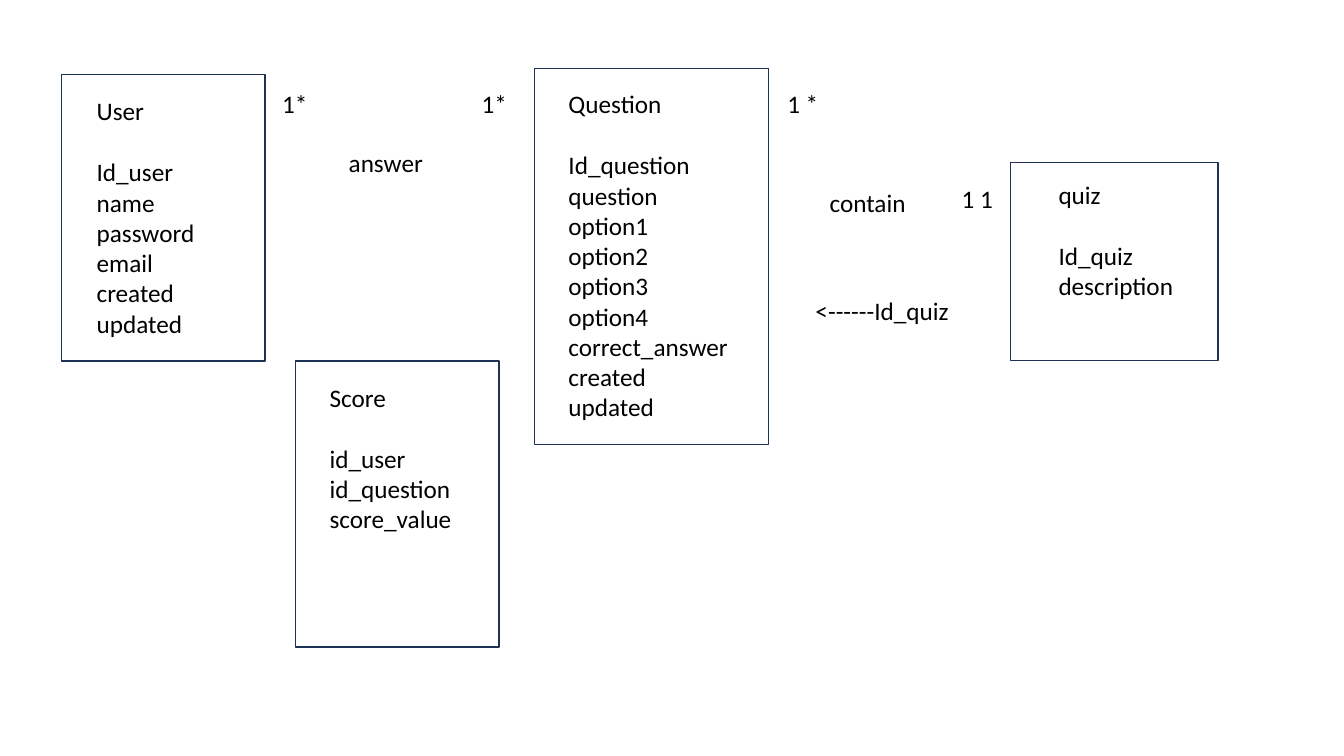
from dataclasses import dataclass

from pptx import Presentation
from pptx.dml.color import RGBColor
from pptx.enum.shapes import MSO_SHAPE
from pptx.enum.text import MSO_AUTO_SIZE
from pptx.shapes.shapetree import GroupShapes, SlideShapes
from pptx.slide import Slide
from pptx.util import Inches, Pt

RECTANGLE = MSO_SHAPE.RECTANGLE
FIT_TEXT = MSO_AUTO_SIZE.SHAPE_TO_FIT_TEXT
COLORS = {"paper": "FFFFFF", "border": "1E3256", "ink": "000000"}
FONT = "Calibri"
FONT_SIZE = 18
HEADING_GAP = 22
BLANK_LAYOUT = 6


@dataclass(frozen=True)
class Area:
    left: float
    top: float
    width: float
    height: float

    def lengths(self) -> tuple[Inches, Inches, Inches, Inches]:
        return (Inches(self.left), Inches(self.top),
                Inches(self.width), Inches(self.height))


@dataclass(frozen=True)
class Entity:
    frame: Area
    text_area: Area
    name: str
    fields: tuple[str, ...]


@dataclass(frozen=True)
class Label:
    text: str
    left: float
    top: float
    width: float


ENTITIES = (
    Entity(Area(0.61, 0.74, 2.02, 2.84), Area(0.86, 0.9, 1.18, 2.52), "User",
           ("Id_user", "name", "password", "email", "created", "updated")),
    Entity(Area(5.3, 0.68, 2.32, 3.73), Area(5.54, 0.83, 1.8, 3.43), "Question",
           ("Id_question", "question", "option1", "option2", "option3",
            "option4", "correct_answer", "created", "updated")),
    Entity(Area(10.02, 1.61, 2.06, 1.97), Area(10.4, 1.73, 1.35, 1.31), "quiz",
           ("Id_quiz", "description")),
    Entity(Area(2.93, 3.58, 2.02, 2.84), Area(3.17, 3.74, 1.42, 1.62), "Score",
           ("id_user", "id_question", "score_value")),
)

LABEL_HEIGHT = 0.4
LABELS = (
    Label("answer", 3.36, 1.41, 0.95),
    Label("contain", 8.13, 1.81, 0.96),
    Label("1*", 2.7, 0.83, 0.46),
    Label("1*", 4.68, 0.83, 0.46),
    Label("1 1", 9.44, 1.77, 0.52),
    Label("1 *", 7.71, 0.83, 0.51),
    Label("<------Id_quiz", 7.99, 2.88, 1.54),
)


def color(name: str) -> RGBColor:
    return RGBColor.from_string(COLORS[name])


def add_lines(shapes: SlideShapes | GroupShapes, area: Area,
              lines: tuple[str, ...]) -> None:
    frame = shapes.add_textbox(*area.lengths()).text_frame
    frame.word_wrap = False
    frame.auto_size = FIT_TEXT
    for index, line in enumerate(lines):
        paragraph = frame.add_paragraph() if index else frame.paragraphs[0]
        run = paragraph.add_run()
        run.text = line
        run.font.name = FONT
        run.font.size = Pt(FONT_SIZE)
        run.font.color.rgb = color("ink")
    if len(lines) > 1:
        frame.paragraphs[0].space_after = Pt(HEADING_GAP)


def add_entity(slide: Slide, entity: Entity) -> None:
    members = slide.shapes.add_group_shape().shapes
    border = members.add_shape(RECTANGLE, *entity.frame.lengths())
    border.shadow.inherit = False
    border.fill.solid()
    border.fill.fore_color.rgb = color("paper")
    border.line.color.rgb = color("border")
    border.line.width = Pt(1)
    add_lines(members, entity.text_area, (entity.name, *entity.fields))


def add_label(slide: Slide, label: Label) -> None:
    area = Area(label.left, label.top, label.width, LABEL_HEIGHT)
    add_lines(slide.shapes, area, (label.text,))


def main() -> None:
    presentation = Presentation()
    presentation.slide_width = Inches(13.33)
    presentation.slide_height = Inches(7.5)
    slide = presentation.slides.add_slide(presentation.slide_layouts[BLANK_LAYOUT])
    for entity in ENTITIES:
        add_entity(slide, entity)
    for label in LABELS:
        add_label(slide, label)
    presentation.save("out.pptx")


if __name__ == "__main__":
    main()
